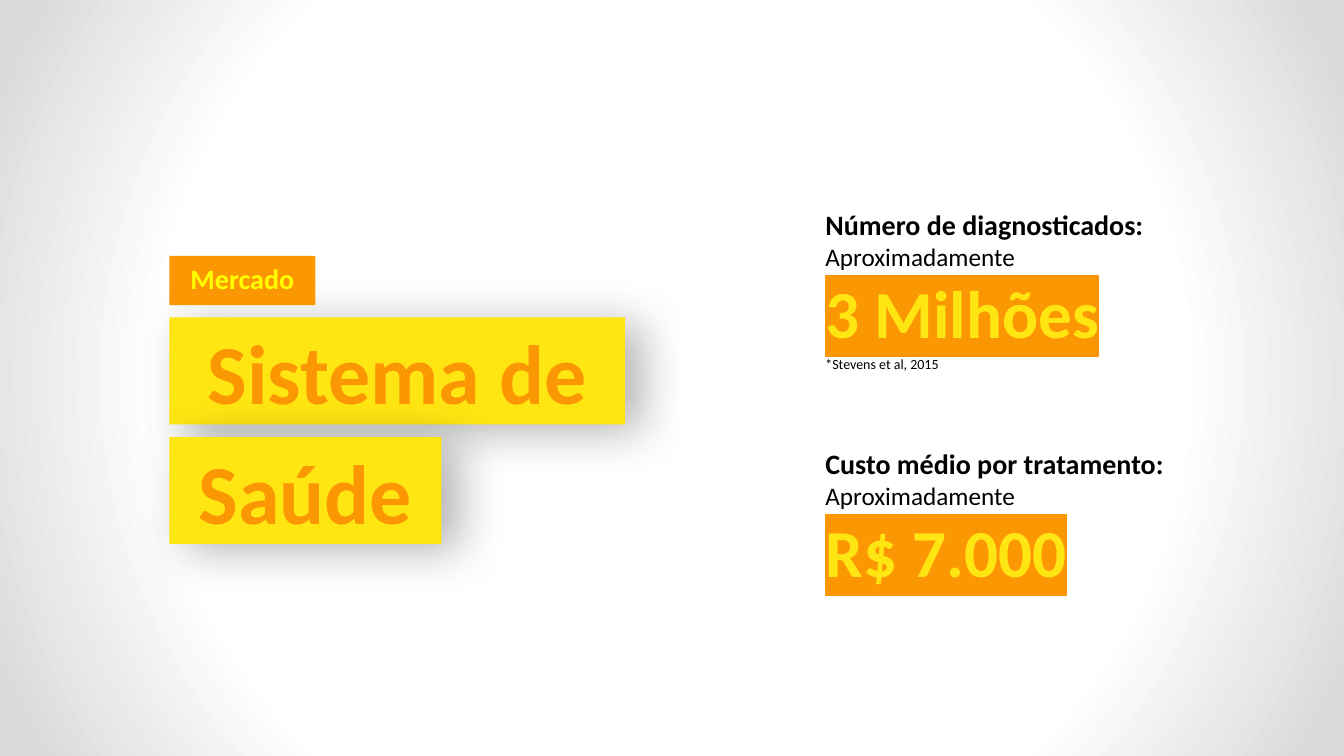
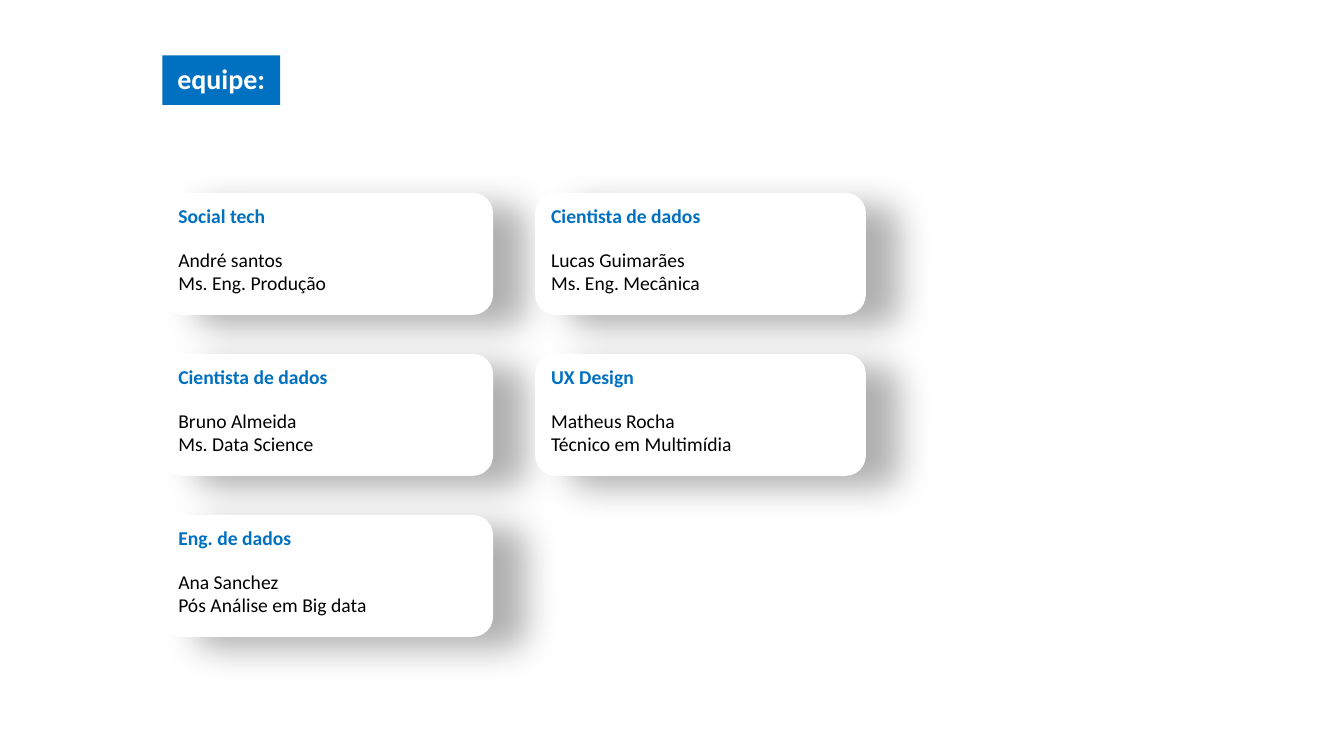
from pptx import Presentation
from pptx.dml.color import RGBColor
from pptx.enum.shapes import MSO_SHAPE
from pptx.enum.text import MSO_ANCHOR, MSO_AUTO_SIZE, PP_ALIGN
from pptx.oxml import parse_xml
from pptx.oxml.ns import nsdecls
from pptx.util import Pt

FONT = "Calibri"
BLACK, WHITE, GREY = "000000", "FFFFFF", "D9D9D9"
ORANGE, YELLOW, BRIGHT_YELLOW, BLUE = "FC9704", "FFE612", "FFFF00", "0070C0"
TITLE_HEIGHT = 35.3
BANNER_SHADOW = {"opacity": 30, "blur": 34, "distance": 13}
CARD_SHADOW = {"opacity": 31, "blur": 25, "distance": 25}

MARKET_FIGURES = [
    (132.5, "Número de diagnosticados:", "3 Milhões"),
    (303.1, "Custo médio por tratamento:", "R$ 7.000"),
]
# Team cards, one list per column: role, name, qualification
TEAM = [
    [
        ("Social tech", "André santos", "Ms. Eng. Produção"),
        ("Cientista de dados", "Bruno Almeida", "Ms. Data Science"),
        ("Eng. de dados", "Ana Sanchez", "Pós Análise em Big data"),
    ],
    [
        ("Cientista de dados", "Lucas Guimarães", "Ms. Eng. Mecânica"),
        ("UX Design", "Matheus Rocha", "Técnico em Multimídia"),
    ],
]


def rgb(color):
    return RGBColor.from_string(color)


def set_fill(shape, color):
    shape.fill.solid()
    shape.fill.fore_color.rgb = rgb(color)
    shape.line.fill.background()


def write(paragraph, text, size=14, color=BLACK, bold=False, align=PP_ALIGN.LEFT,
          line_spacing=None, space_before=0, highlight=None):
    paragraph.alignment = align
    paragraph.space_before = Pt(space_before)
    if line_spacing:
        paragraph.line_spacing = line_spacing
    run = paragraph.add_run()
    run.text = text
    font = run.font
    font.name, font.size, font.bold = FONT, Pt(size), bold
    font.color.rgb = rgb(color)
    if highlight:
        mark = parse_xml(f'<a:highlight {nsdecls("a")}><a:srgbClr val="{highlight}"/></a:highlight>')
        # The schema places the highlight right after the text fill
        run.font.fill._xPr.find("{*}solidFill").addnext(mark)


def add_shadow(shape, opacity, blur, distance, angle=20):
    shape.shadow.inherit = False
    shape.element.spPr.find("{*}effectLst").append(parse_xml(
        f'<a:outerShdw {nsdecls("a")} blurRad="{Pt(blur)}" dist="{Pt(distance)}" '
        f'dir="{angle * 60000}" algn="ctr" rotWithShape="0">'
        f'<a:srgbClr val="{BLACK}"><a:alpha val="{opacity * 1000}"/></a:srgbClr></a:outerShdw>'))


def add_panel(slide, kind, left, top, width, height, color, anchor, shadow):
    panel = slide.shapes.add_shape(kind, Pt(left), Pt(top), Pt(width), Pt(height))
    set_fill(panel, color)
    add_shadow(panel, **shadow)
    panel.text_frame.word_wrap = True
    panel.text_frame.vertical_anchor = anchor
    return panel.text_frame


def add_text_box(slide, left, top, width, height, anchor=MSO_ANCHOR.TOP, wrap=True):
    frame = slide.shapes.add_textbox(Pt(left), Pt(top), Pt(width), Pt(height)).text_frame
    frame.word_wrap = wrap
    frame.vertical_anchor = anchor
    return frame


def add_title(slide, text, left, top, width, fill, color):
    title = slide.shapes.title
    title.left, title.top = Pt(left), Pt(top)
    title.width, title.height = Pt(width), Pt(TITLE_HEIGHT)
    set_fill(title, fill)
    frame = title.text_frame
    frame.auto_size = MSO_AUTO_SIZE.NONE
    frame.vertical_anchor = MSO_ANCHOR.MIDDLE
    write(frame.paragraphs[0], text, size=20, color=color, bold=True,
          align=PP_ALIGN.CENTER, line_spacing=0.9)
    # Keep the title in front of neighbouring shadows
    title.element.getparent().append(title.element)


def set_radial_background(slide, stops):
    slide.background.fill.gradient()
    gradient = slide.element.cSld.bg.bgPr.find("{*}gradFill")
    marks = "".join(f'<a:gs pos="{position * 1000}"><a:srgbClr val="{color}"/></a:gs>'
                    for position, color in stops)
    gradient.getparent().replace(gradient, parse_xml(
        f'<a:gradFill {nsdecls("a")} rotWithShape="1"><a:gsLst>{marks}</a:gsLst>'
        '<a:path path="circle"><a:fillToRect l="50000" t="50000" r="50000" b="50000"/>'
        '</a:path></a:gradFill>'))


def add_banner(slide, text, top, width):
    frame = add_panel(slide, MSO_SHAPE.RECTANGLE, 121, top, width, 76.3, YELLOW,
                      MSO_ANCHOR.MIDDLE, BANNER_SHADOW)
    write(frame.paragraphs[0], text, size=60, color=ORANGE, bold=True, align=PP_ALIGN.CENTER)


def add_figure(slide, top, heading, value):
    frame = add_text_box(slide, 582.5, top, 328.3, 137.5, MSO_ANCHOR.MIDDLE)
    write(frame.paragraphs[0], heading, size=20, bold=True, line_spacing=0.9)
    write(frame.add_paragraph(), "Aproximadamente", size=18)
    write(frame.add_paragraph(), value, size=48, color=YELLOW, bold=True, highlight=ORANGE)


def add_card(slide, left, top, role, name, qualification):
    frame = add_panel(slide, MSO_SHAPE.ROUNDED_RECTANGLE, left, top, 236.2, 87.1, WHITE,
                      MSO_ANCHOR.TOP, CARD_SHADOW)
    write(frame.paragraphs[0], role, color=BLUE, bold=True)
    write(frame.add_paragraph(), name, space_before=14.4)
    write(frame.add_paragraph(), qualification)


def build_market(slide):
    set_radial_background(slide, [(0, WHITE), (44, WHITE), (66, WHITE), (97, GREY)])
    add_banner(slide, "Sistema de", 226.8, 325.6)
    add_banner(slide, "Saúde", 312.3, 194.4)
    add_title(slide, "Mercado", 121, 182.7, 104.2, ORANGE, BRIGHT_YELLOW)
    for top, heading, value in MARKET_FIGURES:
        add_figure(slide, top, heading, value)
    source_note = add_text_box(slide, 582.5, 250.6, 97.2, 19.4, wrap=False)
    source_note.auto_size = MSO_AUTO_SIZE.SHAPE_TO_FIT_TEXT
    write(source_note.paragraphs[0], "*Stevens et al, 2015", size=10)


def build_team(slide):
    slide.background.fill.solid()
    slide.background.fill.fore_color.rgb = rgb(WHITE)
    add_title(slide, "equipe:", 116, 39.6, 84.2, BLUE, WHITE)
    for column, members in enumerate(TEAM):
        for row, member in enumerate(members):
            add_card(slide, 116 + column * 266.3, 137.8 + row * 115, *member)


def main():
    deck = Presentation()
    deck.slide_width, deck.slide_height = Pt(960), Pt(540)
    title_only = deck.slide_layouts[5]
    for build in (build_market, build_team):
        build(deck.slides.add_slide(title_only))
    deck.save("out.pptx")


main()
